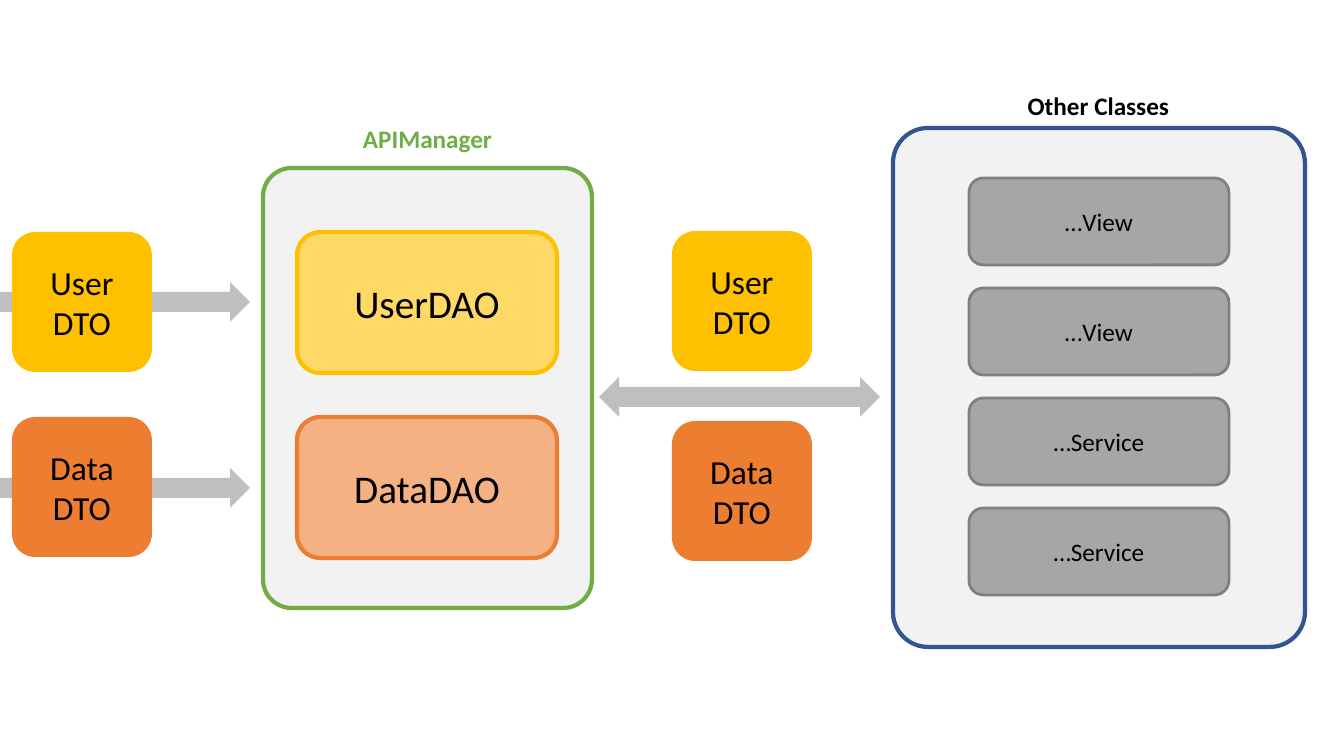
from dataclasses import dataclass

from pptx import Presentation
from pptx.dml.color import RGBColor
from pptx.enum.shapes import MSO_SHAPE
from pptx.enum.text import MSO_ANCHOR, PP_ALIGN
from pptx.util import Emu, Pt

ROUNDED = MSO_SHAPE.ROUNDED_RECTANGLE
ARROW = MSO_SHAPE.LEFT_RIGHT_ARROW
CENTER = PP_ALIGN.CENTER
MIDDLE = MSO_ANCHOR.MIDDLE
PX = 914400 / 100.8
FONT = "Calibri"
BLACK, PANEL, ARROW_GRAY = "000000", "F2F2F2", "BFBFBF"
YELLOW, ORANGE, GREEN, BLUE = "FFC000", "ED7D31", "70AD47", "325491"
DTO_SIZE = 140
ARROW_HEIGHT = 40


@dataclass
class Box:
    x: int
    y: int
    w: int
    h: int
    fill: str
    line: str = ""
    line_width: float = 3
    text: str = ""
    size: float = 18
    corner: float = 0.1667


@dataclass
class Label:
    x: int
    y: int
    text: str
    color: str


def px(n: int) -> Emu:
    return Emu(round(n * PX))


def rgb(color: str) -> RGBColor:
    return RGBColor.from_string(color)


def write(tf, text: str, size: float, color: str = BLACK, bold: bool = False) -> None:
    tf.word_wrap = True
    for i, line in enumerate(text.split("\n")):
        p = tf.paragraphs[0] if i == 0 else tf.add_paragraph()
        p.text = line
        p.alignment = CENTER
        p.font.name = FONT
        p.font.size = Pt(size)
        p.font.bold = bold
        p.font.color.rgb = rgb(color)


def add_shape(slide, kind, x: int, y: int, w: int, h: int, fill: str):
    s = slide.shapes.add_shape(kind, px(x), px(y), px(w), px(h))
    s.shadow.inherit = False
    s.fill.solid()
    s.fill.fore_color.rgb = rgb(fill)
    s.line.fill.background()
    return s


def draw_box(slide, box: Box) -> None:
    s = add_shape(slide, ROUNDED, box.x, box.y, box.w, box.h, box.fill)
    s.adjustments[0] = box.corner
    if box.line:
        s.line.color.rgb = rgb(box.line)
        s.line.width = Pt(box.line_width)
    if box.text:
        s.text_frame.vertical_anchor = MIDDLE
        write(s.text_frame, box.text, box.size)


def draw_arrow(slide, x: int, y: int, w: int) -> None:
    add_shape(slide, ARROW, x, y, w, ARROW_HEIGHT, ARROW_GRAY)


def draw_label(slide, label: Label) -> None:
    s = slide.shapes.add_textbox(px(label.x), px(label.y), px(197), px(40))
    write(s.text_frame, label.text, 18, label.color, bold=True)


def dto_pair(x: int, user_y: int, data_y: int) -> list[Box]:
    return [
        Box(x, y, DTO_SIZE, DTO_SIZE, fill, text=f"{name}\nDTO", size=24)
        for name, y, fill in (("User", user_y, YELLOW), ("Data", data_y, ORANGE))
    ]


prs = Presentation()
prs.slide_width, prs.slide_height = px(1344), px(756)
slide = prs.slides.add_slide(prs.slide_layouts[6])

for y in (282, 468):
    draw_arrow(slide, -111, y, 361)
draw_arrow(slide, 599, 377, 281)

boxes = [
    Box(263, 168, 329, 440, PANEL, GREEN, corner=0.087),
    Box(297, 232, 260, 141, "FFD966", YELLOW, text="UserDAO", size=28),
    Box(297, 417, 260, 141, "F4B183", ORANGE, text="DataDAO", size=28),
    Box(893, 128, 412, 519, PANEL, BLUE, corner=0.085),
]
boxes += [
    Box(969, 178 + 110 * i, 260, 87, "A6A6A6", "808080", 2, name)
    for i, name in enumerate(("…View", "…View", "…Service", "…Service"))
]
boxes += dto_pair(12, 232, 417) + dto_pair(672, 231, 421)
for box in boxes:
    draw_box(slide, box)

for label in (
    Label(329, 118, "APIManager", GREEN),
    Label(1000, 85, "Other Classes", BLACK),
):
    draw_label(slide, label)

prs.save("out.pptx")
